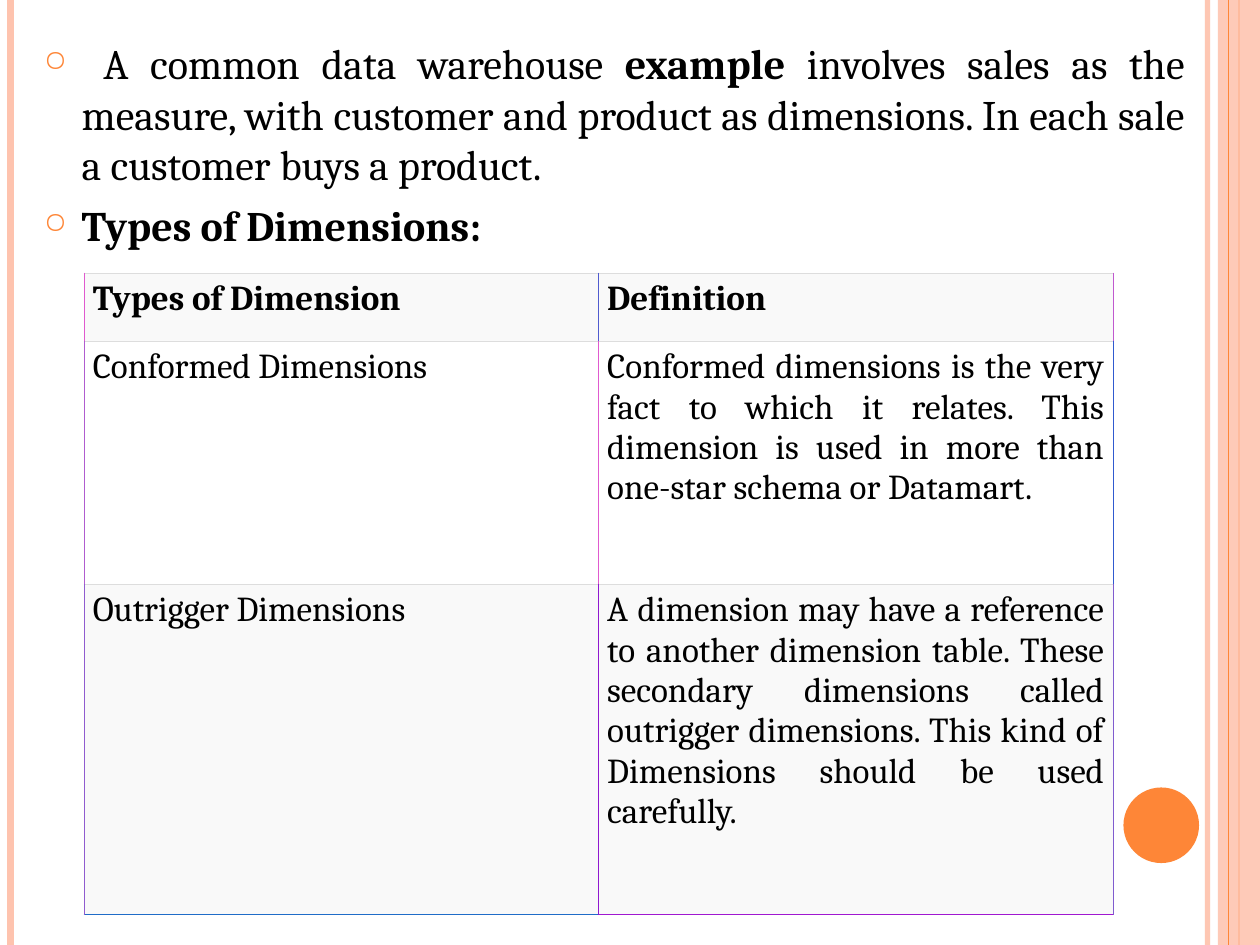
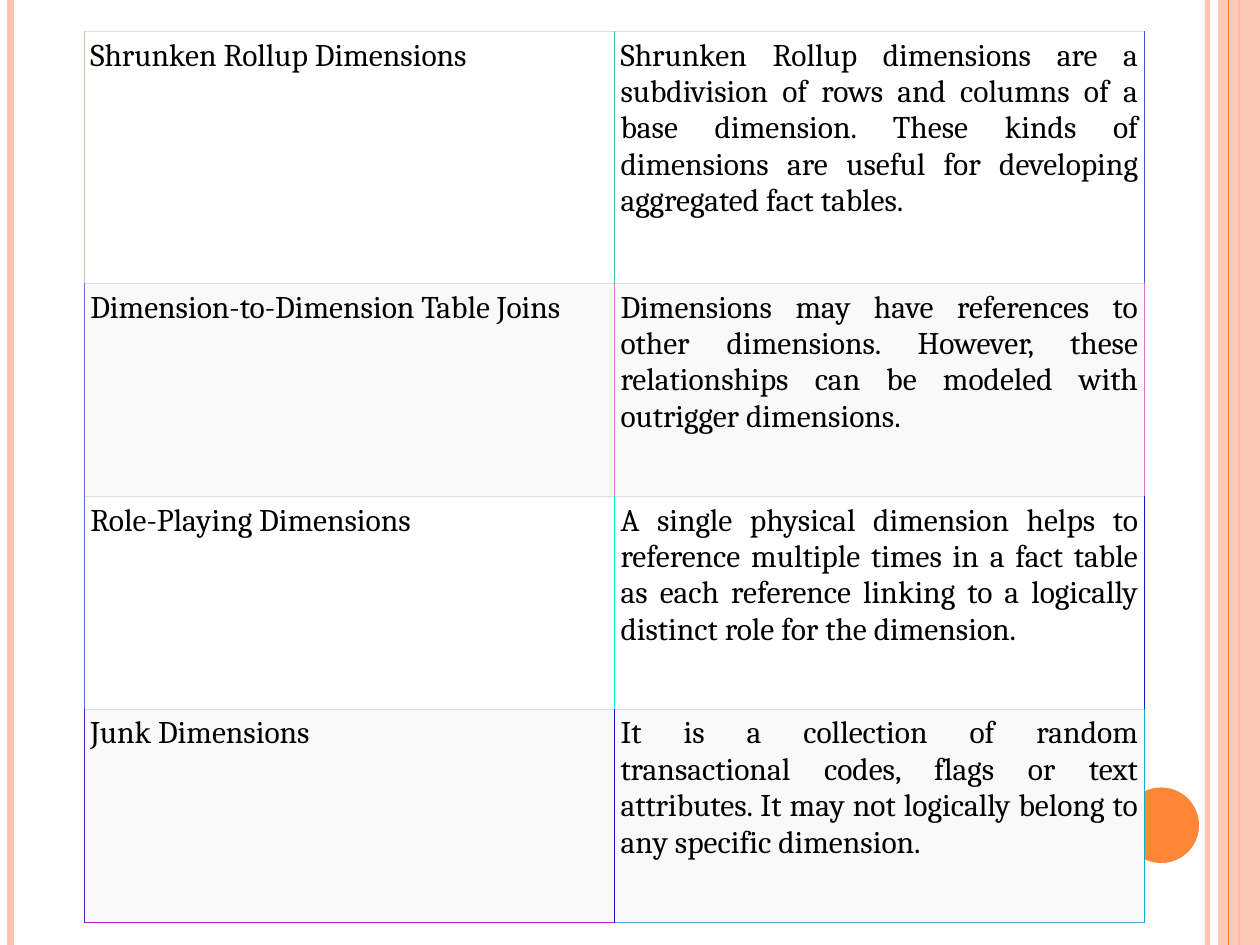
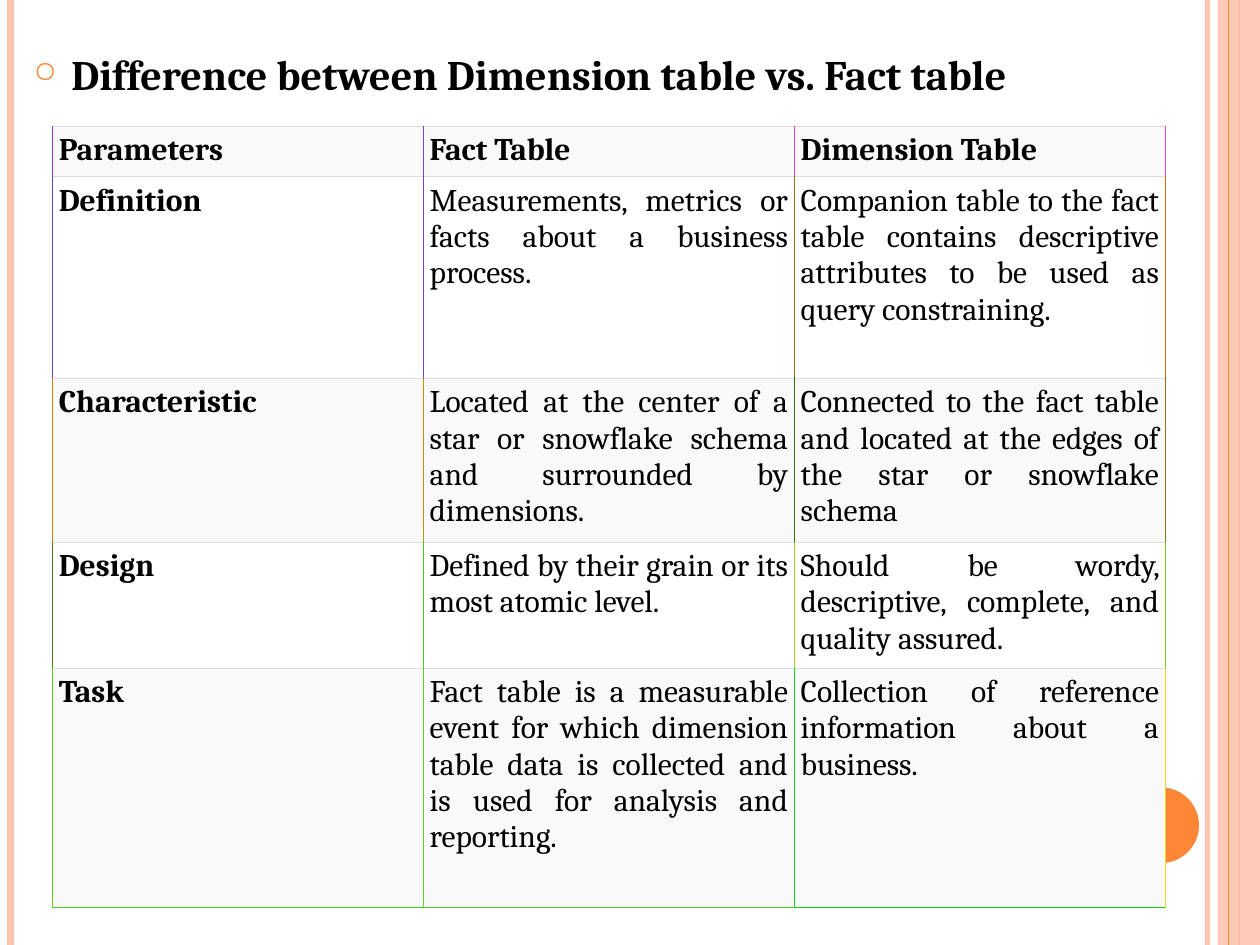
from dataclasses import dataclass

from lxml.etree import SubElement
from pptx import Presentation
from pptx.dml.color import RGBColor as RGB
from pptx.enum.shapes import MSO_CONNECTOR as CONNECTOR, MSO_SHAPE as SHAPE
from pptx.enum.text import MSO_ANCHOR as ANCHOR, MSO_AUTO_SIZE as AUTO_SIZE, PP_ALIGN as ALIGN
from pptx.oxml.ns import qn
from pptx.util import Inches, Pt


@dataclass(frozen=True)
class Theme:
    font: str = "Cambria"
    ink: str = "000000"
    accent: str = "FE8637"
    band: str = "FEC3AE"
    shaded: str = "F9F9F9"
    plain: str = "FFFFFF"
    rule: str = "DDDDDD"
    heading: int = 24
    large_cell: int = 20
    cell: int = 18
    rule_width: float = 0.34
    edge_width: float = 0.45


THEME = Theme()
UNIT = Inches(1) // 12  # grid of twelfths of an inch
TITLE_ONLY, BLANK = 5, 6


def format_bullet(paragraph, alignment):
    """Give a paragraph the ring bullet, hanging indent and heading font."""
    props = paragraph._p.get_or_add_pPr()
    props.set("marL", str(Inches(0.3)))
    props.set("indent", str(-Inches(0.3)))
    colour = SubElement(props, qn("a:buClr"))
    SubElement(colour, qn("a:srgbClr"), val=THEME.accent)
    SubElement(props, qn("a:buSzPct"), val="70000")
    SubElement(props, qn("a:buChar"), char="○")
    paragraph.alignment = alignment
    for run in paragraph.runs:
        run.font.name = THEME.font
        run.font.size = Pt(THEME.heading)
        run.font.color.rgb = RGB.from_string(THEME.ink)


def add_ruled_table(slide, left, top, width, rows, bottoms, size, margin,
                    header=True, bold_labels=False):
    """rows holds (height in inches, cell texts, colours of the vertical edges)."""
    columns = len(bottoms)
    height = Inches(sum(row[0] for row in rows))
    table = slide.shapes.add_table(
        len(rows), columns, left * UNIT, top * UNIT, width * UNIT, height).table
    table.first_row = table.horz_banding = False
    for r, (row_height, texts, edges) in enumerate(rows):
        table.rows[r].height = Inches(row_height)
        last = r == len(rows) - 1
        for c, text in enumerate(texts):
            cell = table.cell(r, c)
            cell.margin_left = cell.margin_right = Inches(margin)
            cell.margin_top = cell.margin_bottom = Inches(0.05)
            borders = [
                ("lnL", edges[c], THEME.edge_width),
                ("lnR", edges[c + 1], THEME.edge_width),
                ("lnT", THEME.rule, THEME.rule_width),
                ("lnB", bottoms[c], THEME.edge_width) if last
                else ("lnB", THEME.rule, THEME.rule_width),
            ]
            props = cell._tc.get_or_add_tcPr()
            for side, colour, line_width in borders:
                border = SubElement(props, qn(f"a:{side}"), w=str(Pt(line_width)))
                fill = SubElement(border, qn("a:solidFill"))
                SubElement(fill, qn("a:srgbClr"), val=colour)
            cell.fill.solid()
            shaded = (r % 2 == 0) == header
            cell.fill.fore_color.rgb = RGB.from_string(
                THEME.shaded if shaded else THEME.plain)
            paragraph = cell.text_frame.paragraphs[0]
            paragraph.text = text
            paragraph.alignment = ALIGN.JUSTIFY
            font = paragraph.runs[0].font
            font.name, font.size = THEME.font, Pt(size)
            font.bold = (header and r == 0) or (bold_labels and c == 0)
            font.color.rgb = RGB.from_string(THEME.ink)


prs = Presentation()
prs.slide_width, prs.slide_height = Inches(10), Inches(7.5)
types_slide = prs.slides.add_slide(prs.slide_layouts[BLANK])
more_types_slide = prs.slides.add_slide(prs.slide_layouts[BLANK])
difference_slide = prs.slides.add_slide(prs.slide_layouts[TITLE_ONLY])

# Side bands and disc, drawn once and moved to the slide master
decor = []
for x, colour, width in [(115, THEME.band, 3), (1, THEME.band, 4.5),
                         (118, THEME.accent, 1.5), (117, THEME.accent, 0.75)]:
    stripe = types_slide.shapes.add_connector(
        CONNECTOR.STRAIGHT, x * UNIT, 0, x * UNIT, prs.slide_height)
    stripe.line.color.rgb = RGB.from_string(colour)
    stripe.line.width = Pt(width)
    SubElement(stripe.element.spPr, qn("a:effectLst"))
    decor.append(stripe)

right_band = types_slide.shapes.add_shape(
    SHAPE.RECTANGLE, 116 * UNIT, 0, 4 * UNIT, prs.slide_height)
disc = types_slide.shapes.add_shape(
    SHAPE.OVAL, 107 * UNIT, 75 * UNIT, Inches(0.6), Inches(0.6))
for part, colour in [(right_band, THEME.band), (disc, THEME.accent)]:
    part.shadow.inherit = False
    part.fill.solid()
    part.fill.fore_color.rgb = RGB.from_string(colour)
    part.line.fill.background()
decor.insert(3, right_band)
decor.append(disc)

for part, opacity in [(decor[0], 93), (right_band, 87)]:
    colour = part.element.spPr.find(".//" + qn("a:srgbClr"))
    SubElement(colour, qn("a:alpha"), val=str(opacity * 1000))
for part in decor:
    prs.slide_master.shapes.element.append(part.element)

# Slide 1: example and first types
intro = types_slide.shapes.add_textbox(
    3 * UNIT, 3 * UNIT, 111 * UNIT, 82 * UNIT).text_frame
intro.word_wrap = True
example = intro.paragraphs[0]
for text, bold in [
    (" A common data warehouse ", False),
    ("example", True),
    (" involves sales as the measure, with customer and product as dimensions. "
     "In each sale a customer buys a product.", False),
]:
    run = example.add_run()
    run.text, run.font.bold = text, bold
types_heading = intro.add_paragraph()
types_heading.text = "Types of Dimensions:"
types_heading.runs[0].font.bold = True
types_heading.space_before = Pt(6)
for paragraph in intro.paragraphs:
    format_bullet(paragraph, ALIGN.JUSTIFY)

add_ruled_table(types_slide, 8, 26, 98, [
    (0.54, ["Types of Dimension", "Definition"], ["E059CF", "505BCF", "C058CF"]),
    (1.93, ["Conformed Dimensions",
            "Conformed dimensions is the very fact to which it relates. This dimension "
            "is used in more than one-star schema or Datamart."],
     ["B05CCF", "E05ACF", "305ACF"]),
    (2.62, ["Outrigger Dimensions",
            "A dimension may have a reference to another dimension table. These secondary "
            "dimensions called outrigger dimensions. This kind of Dimensions should be "
            "used carefully."],
     ["905CCF", "9018D0", "805CCF"]),
], bottoms=["206CC8", "A018D0"], size=THEME.large_cell, margin=0.07)

# Slide 2: remaining types
add_ruled_table(more_types_slide, 8, 3, 101, [
    (2, ["Shrunken Rollup Dimensions",
         "Shrunken Rollup dimensions are a subdivision of rows and columns of a base "
         "dimension. These kinds of dimensions are useful for developing aggregated "
         "fact tables."],
     ["C0CAB3", "40C3B3", "4051CF"]),
    (1.69, ["Dimension-to-Dimension Table Joins",
            "Dimensions may have references to other dimensions. However, these "
            "relationships can be modeled with outrigger dimensions."],
     ["6075D1", "D075D1", "E075D1"]),
    (1.69, ["Role-Playing Dimensions",
            "A single physical dimension helps to reference multiple times in a fact "
            "table as each reference linking to a logically distinct role for the "
            "dimension."],
     ["5073D1", "00E9CF", "001FD0"]),
    (1.69, ["Junk Dimensions",
            "It is a collection of random transactional codes, flags or text attributes. "
            "It may not logically belong to any specific dimension."],
     ["6019D0", "2011D0", "10AFCF"]),
], bottoms=["C019D0", "60A4CF"], size=THEME.cell, margin=0.05, header=False)

# Slide 3: dimension table against fact table
title = difference_slide.shapes.title
title.left, title.top, title.width, title.height = (
    2 * UNIT, 4 * UNIT, 112 * UNIT, 7 * UNIT)
title.text_frame.text = "Difference between Dimension table vs. Fact table"
title.text_frame.vertical_anchor = ANCHOR.TOP
title.text_frame.auto_size = AUTO_SIZE.NONE
title_line = title.text_frame.paragraphs[0]
title_line.runs[0].font.bold = True
format_bullet(title_line, ALIGN.LEFT)

add_ruled_table(difference_slide, 5, 12, 106, [
    (0.4, ["Parameters", "Fact Table", "Dimension Table"],
     ["903DE4", "803DE4", "E03DE4", "F03DE4"]),
    (1.6, ["Definition",
           "Measurements, metrics or facts about a business process.",
           "Companion table to the fact table contains descriptive attributes to be "
           "used as query constraining."],
     ["603EE4", "703DE4", "907300", "E06E00"]),
    (1.3, ["Characteristic",
           "Located at the center of a star or snowflake schema and surrounded by "
           "dimensions.",
           "Connected to the fact table and located at the edges of the star or "
           "snowflake schema"],
     ["E07C00", "C09202", "306C1B", "906A1B"]),
    (1, ["Design",
         "Defined by their grain or its most atomic level.",
         "Should be wordy, descriptive, complete, and quality assured."],
     ["507A1C", "40D01C", "A0D11C", "80D11C"]),
    (1.9, ["Task",
           "Fact table is a measurable event for which dimension table data is "
           "collected and is used for analysis and reporting.",
           "Collection of reference information about a business."],
     ["60D21C", "60D41C", "10D61C", "F0D51C"]),
], bottoms=["40D21C", "50D31C", "00D61C"], size=THEME.cell, margin=0.05,
    bold_labels=True)

prs.save("out.pptx")
